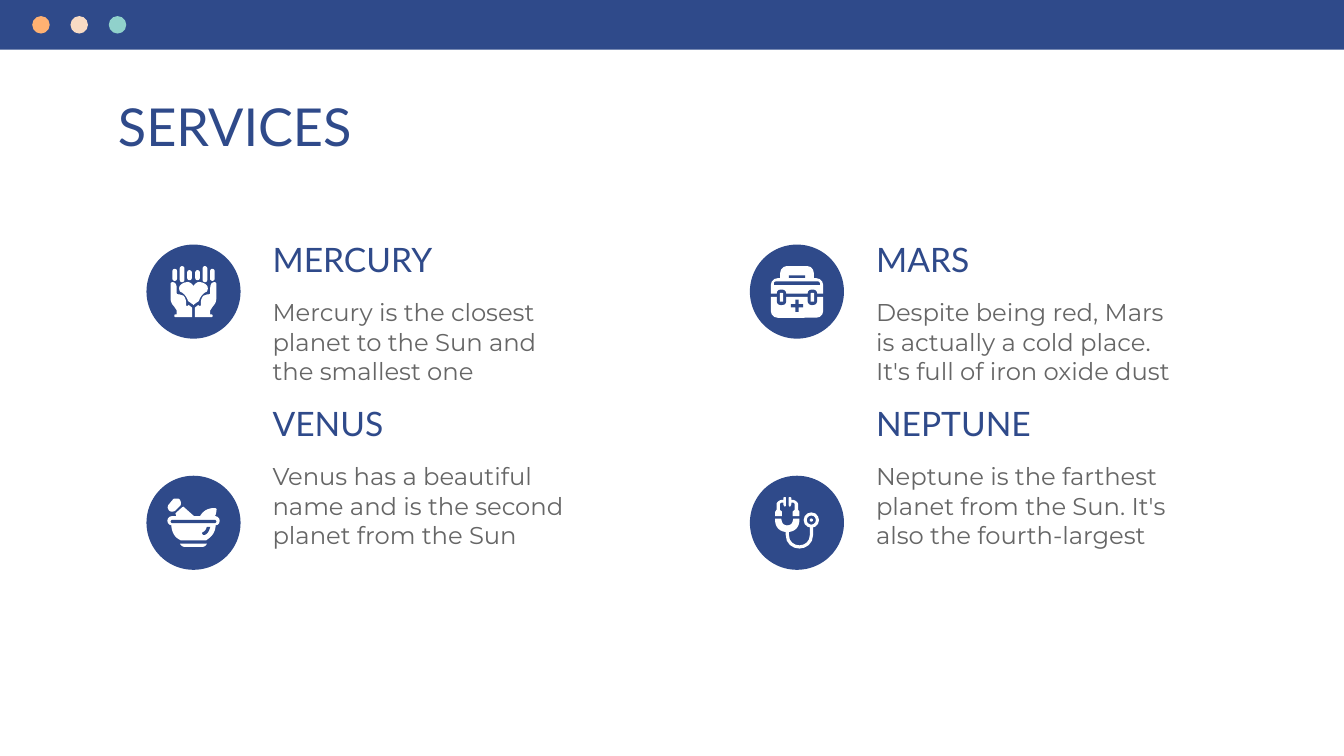
from dataclasses import dataclass
from typing import Any

from lxml import etree
from pptx import Presentation
from pptx.dml.color import RGBColor
from pptx.enum import shapes, text
from pptx.oxml.ns import qn
from pptx.util import Inches, Pt

KIND = shapes.MSO_SHAPE


@dataclass(frozen=True)
class Theme:
    blue: str = "2F4A8A"
    white: str = "FFFFFF"
    grey: str = "666666"
    dots: tuple = ("FFB172", "F8DBC4", "90D1CB")
    heading_font: str = "Lato"
    body_font: str = "Montserrat"
    title_size: int = 28
    heading_size: int = 18
    body_size: int = 13


THEME = Theme()


def paint(shape, color):
    shape.shadow.inherit = False
    shape.fill.solid()
    shape.fill.fore_color.rgb = RGBColor.from_string(color)
    shape.line.fill.background()


def add_preset(slide, kind, left, top, width, height, color):
    shape = slide.shapes.add_shape(kind, Inches(left), Inches(top), Inches(width), Inches(height))
    paint(shape, color)
    return shape


def add_text(slide, words, left, top, width, height, font, size, color, after=0):
    box = slide.shapes.add_textbox(Inches(left), Inches(top), Inches(width), Inches(height))
    frame = box.text_frame
    frame.word_wrap = True
    frame.vertical_anchor = text.MSO_ANCHOR.TOP
    frame.margin_left = frame.margin_right = frame.margin_top = frame.margin_bottom = Inches(0.1)
    frame.text = words
    paragraph = frame.paragraphs[0]
    paragraph.space_after = Pt(after)
    run_font = paragraph.runs[0].font
    run_font.name, run_font.size = font, Pt(size)
    run_font.color.rgb = RGBColor.from_string(color)


def flatten(steps, pieces=8):
    """Turn steps (2 numbers: a line, 6 numbers: a cubic curve) into points."""
    points = [steps[0]]
    for step in steps[1:]:
        if len(step) == 2:
            points.append(step)
            continue
        knots = [points[-1], step[:2], step[2:4], step[4:]]
        for i in range(1, pieces + 1):
            t = i / pieces
            weights = ((1 - t) ** 3, 3 * t * (1 - t) ** 2, 3 * t * t * (1 - t), t ** 3)
            points.append(tuple(sum(w * k[axis] for w, k in zip(weights, knots)) for axis in (0, 1)))
    return points


@dataclass
class Icon:
    """Draws in hundredths of an inch from the centre of a disc."""
    slide: Any
    x: float
    y: float

    def preset(self, kind, left, top, width, height, color=THEME.white):
        return add_preset(self.slide, kind, self.x + left / 100, self.y + top / 100,
                          width / 100, height / 100, color)

    def freeform(self, steps, axis=0, side=1, closed=True):
        points = [(Inches(self.x + (axis + side * px) / 100), Inches(self.y + py / 100))
                  for px, py in flatten(steps)]
        builder = self.slide.shapes.build_freeform(*points[0])
        builder.add_line_segments(points[1:], close=closed)
        return builder.convert_to_shape()

    def outline(self, steps, color=THEME.white):
        paint(self.freeform(steps), color)

    def mirrored(self, steps, axis=0):
        for side in (-1, 1):
            paint(self.freeform(steps, axis, side), THEME.white)

    def stroke(self, steps, axis, width):
        shape = self.freeform(steps, axis, closed=False)
        shape.shadow.inherit = False
        shape.fill.background()
        shape.line.color.rgb = RGBColor.from_string(THEME.white)
        shape.line.width = Pt(width)
        etree.SubElement(shape.line._get_or_add_ln(), qn("a:round"))


def draw_hands(icon):
    for middle, top, bottom in ((3, -16, -8.5), (8.5, -19, -7), (14, -17, -8)):
        for side in (-1, 1):
            finger = icon.preset(KIND.ROUNDED_RECTANGLE, side * middle - 1.75, top, 3.5, bottom - top)
            finger.adjustments[0] = 0.5
    heart = [(-0.3, -4), (1.5, -6), (3, -7, 4, -7.5, 5, -7), (7, -7, 8, -6, 9, -5.5),
             (11, -4, 11, -2, 10, 0), (7, 1, 5, 4, 4, 7), (-0.3, 10)]
    palm = [(15.5, -7), (13.5, -7, 12.5, -5, 12.5, -3), (12.5, 1), (12.5, 2, 11.5, 2, 11.5, 2),
            (9.5, 2, 8.5, 3, 7.5, 3), (6.5, 4, 5.5, 6, 5.5, 8), (5.5, 10),
            (5.5, 11, 4.5, 11, 3.5, 10), (1, 12), (1, 19), (13.5, 19),
            (14.5, 19, 14.5, 17, 13.5, 17), (12.5, 17), (12.5, 14), (14.5, 11),
            (16.5, 9, 17, 7, 17, 5), (17, -6), (17, -6, 17, -7, 15.5, -7)]
    icon.mirrored(heart)
    icon.mirrored(palm)


def draw_medical_bag(icon):
    icon.preset(KIND.ROUND_2_SAME_RECTANGLE, -12.5, -19, 25, 10).adjustments[0] = 0.5
    icon.preset(KIND.RECTANGLE, -6, -12, 12, 2.5, THEME.blue)
    icon.preset(KIND.ROUND_2_SAME_RECTANGLE, -19.5, -10, 39, 11.5).adjustments[0] = 0.45
    icon.preset(KIND.ROUND_2_SAME_RECTANGLE, -17, -7.5, 34, 2.5, THEME.blue).adjustments[0] = 0.5
    base = icon.preset(KIND.ROUND_2_SAME_RECTANGLE, -19.5, 4, 39, 15.5)
    base.adjustments[0], base.adjustments[1] = 0, 0.33
    for middle in (-11.5, 11.5):
        icon.preset(KIND.ROUNDED_RECTANGLE, middle - 3.5, -1.5, 7, 11.5, THEME.blue).adjustments[0] = 0.4
        icon.preset(KIND.ROUND_2_SAME_RECTANGLE, middle - 1.25, 1, 2.5, 6.5)
    icon.preset(KIND.CROSS, -4.5, 6, 9, 9, THEME.blue).adjustments[0] = 0.37


def draw_mortar(icon):
    icon.preset(KIND.ROUNDED_RECTANGLE, -19.5, -5, 39, 7).adjustments[0] = 0.5
    icon.outline([(-16.5, 1), (-16.5, 7, -14, 11, -9.5, 13), (9.5, 13), (14, 10, 16.5, 7, 16.5, 1)])
    icon.outline([(-7.5, -12), (1.5, -4), (4.5, -4), (6.5, -9, 11, -11, 15.5, -11),
                  (17, -11, 17.5, -10, 17, -9), (17, -7, 16.5, -6, 15.5, -4), (-12.5, -4),
                  (-13.5, -7), (-8.5, -11.5)])
    icon.preset(KIND.ROUNDED_RECTANGLE, -17, -2.2, 34, 2.4, THEME.blue).adjustments[0] = 0.5
    icon.outline([(12.5, 3), (12, 5, 11, 8, 8.5, 9), (6.5, 9.5, 6, 7.5, 7, 7),
                  (9.5, 6, 9.5, 4, 10, 3)], THEME.blue)
    icon.outline([(-12.5, -18), (-14, -18, -15, -18, -15.5, -17), (-18, -14),
                  (-20, -12, -19, -10, -18, -9), (-17, -8, -15, -8, -13.5, -9), (-10.5, -12),
                  (-9, -13, -9, -15, -10, -17), (-11, -18, -11, -18, -12.5, -18)])
    icon.outline([(-10, 15.5), (-9.5, 17, -8, 18, -6.5, 18), (6.5, 18), (8, 18, 9.5, 17, 10, 15.5)])


def draw_stethoscope(icon):
    axis = -7.2
    earpiece = [(2, -19), (1, -19, 1, -19, 1, -18), (1, -14), (1, -13, 1, -12, 2, -12),
                (2, -12, 3, -13, 3, -14), (3, -15), (4, -15), (5, -15, 5.5, -14, 5.5, -14),
                (5.5, -10), (5.5, -9, 4, -9, 4, -8), (4, -5), (9, -5), (9, -8),
                (9, -9, 8, -9, 8, -10), (8, -14), (8, -15, 6, -17, 4, -17), (3, -17),
                (3, -18), (3, -19, 2.5, -19, 2, -19)]
    cup = [(-0.3, 2), (2, 2, 3.5, 1, 4, -1), (4.5, -3), (9, -3), (9.5, 4, 5, 7, -0.3, 7)]
    icon.mirrored(earpiece, axis)
    icon.mirrored(cup, axis)
    icon.stroke([(0, 6), (0, 9), (0, 21, 18, 21, 18, 9), (18, 2.5)], axis, 1.7)
    icon.preset(KIND.DONUT, 5, -7.7, 11.4, 11.4).adjustments[0] = 0.2
    icon.preset(KIND.OVAL, 9.5, -3.2, 2.4, 2.4)


def add_window_bar(slide):
    add_preset(slide, KIND.RECTANGLE, 0, 0, 10, 0.37, THEME.blue)
    for i, color in enumerate(THEME.dots):
        add_preset(slide, KIND.OVAL, 0.24 + i * 0.285, 0.12, 0.13, 0.13, color)


def add_service(slide, column, row, name, description, draw_icon):
    disc_left, disc_top = 1.09 + column * 4.49, 1.82 + row * 1.72
    text_left, text_top = 1.93 + column * 4.49, 1.68 + row * 1.22
    add_preset(slide, KIND.OVAL, disc_left, disc_top, 0.7, 0.7, THEME.blue)
    draw_icon(Icon(slide, disc_left + 0.35, disc_top + 0.35))
    add_text(slide, name, text_left, text_top, 2.49, 0.51,
             THEME.heading_font, THEME.heading_size, THEME.blue)
    add_text(slide, description, text_left, text_top + 0.435, 2.49, 0.58,
             THEME.body_font, THEME.body_size, THEME.grey, after=12)


def main():
    deck = Presentation()
    deck.slide_width = Inches(10)
    deck.slide_height = deck.slide_width * 9 // 16
    slide = deck.slides.add_slide(deck.slide_layouts[6])
    add_window_bar(slide)
    add_text(slide, "SERVICES", 0.78, 0.6, 8.44, 0.51,
             THEME.heading_font, THEME.title_size, THEME.blue)
    services = (
        ("MERCURY", "Mercury is the closest planet to the Sun and the smallest one", draw_hands),
        ("VENUS", "Venus has a beautiful name and is the second planet from the Sun", draw_mortar),
        ("MARS", "Despite being red, Mars is actually a cold place. It's full of iron oxide dust",
         draw_medical_bag),
        ("NEPTUNE", "Neptune is the farthest planet from the Sun. It's also the fourth-largest",
         draw_stethoscope),
    )
    for i, service in enumerate(services):
        add_service(slide, *divmod(i, 2), *service)
    deck.save("out.pptx")


if __name__ == "__main__":
    main()
